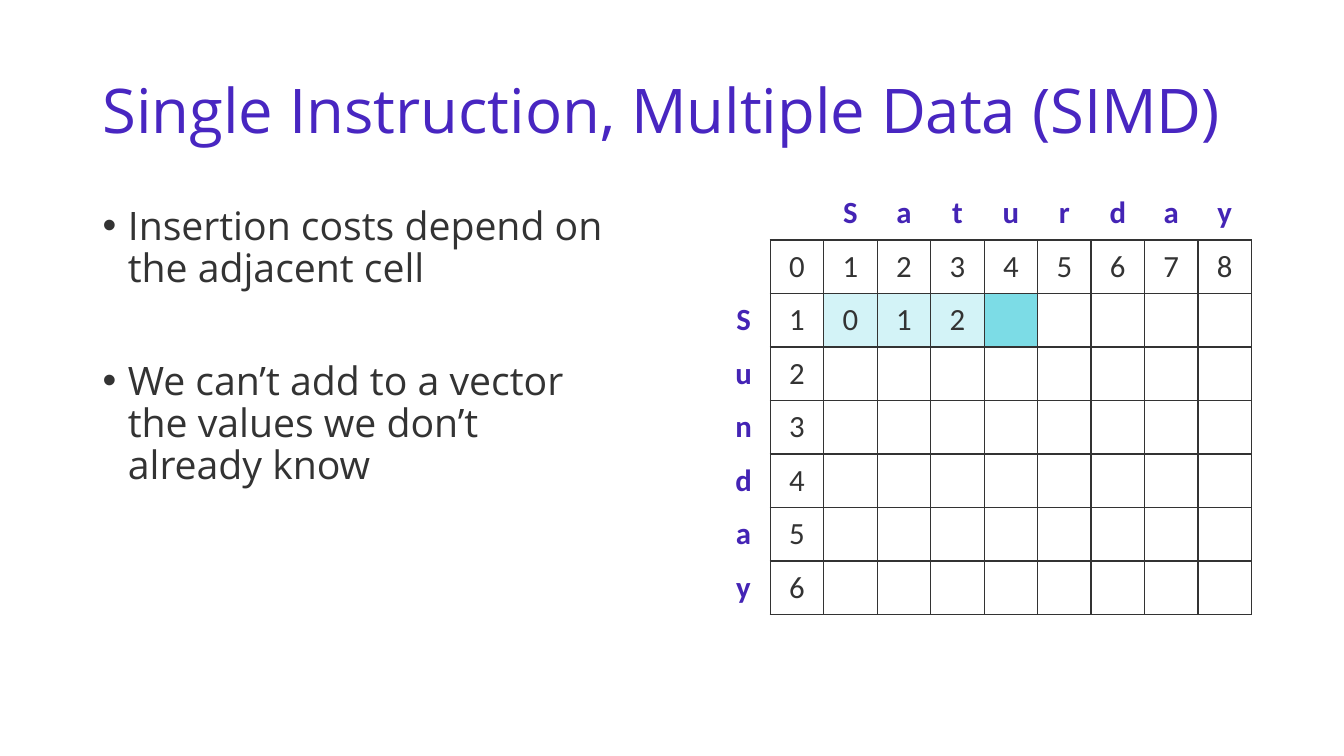
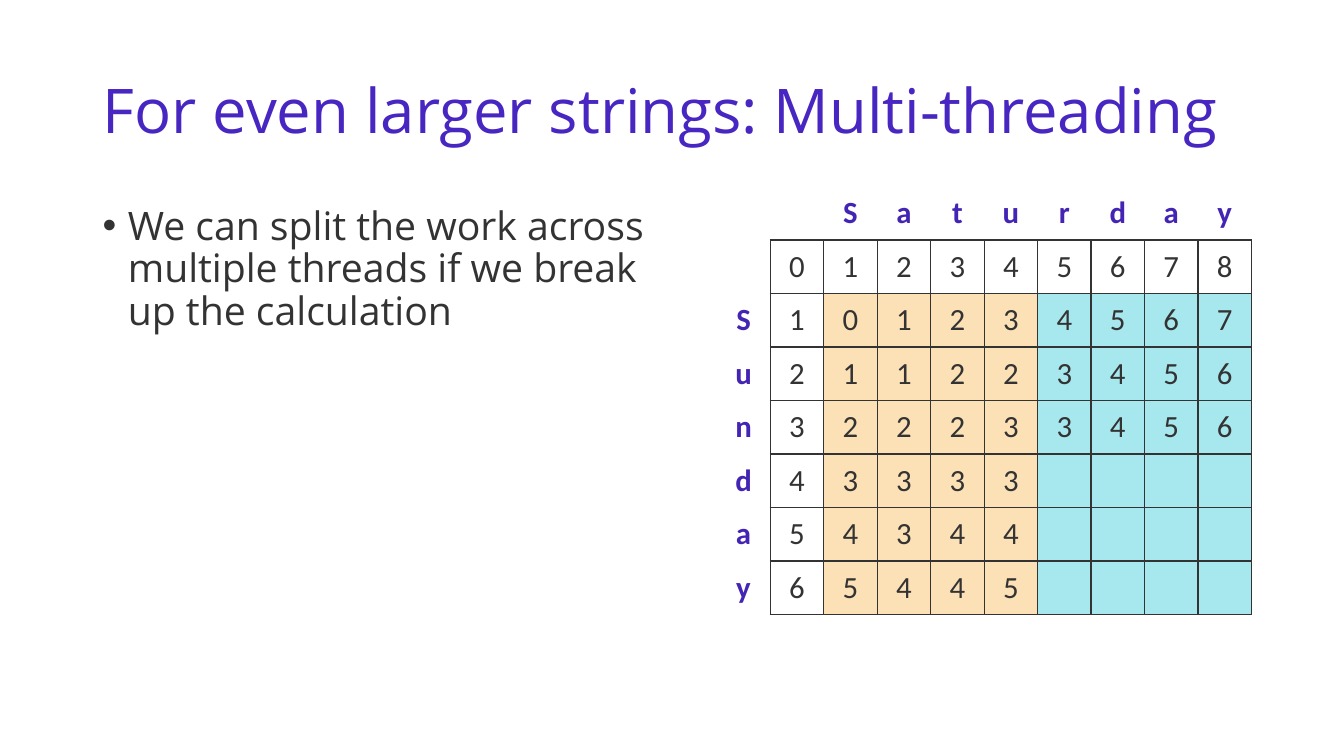
import pptx
import pptx.dml.color
import pptx.enum.text
import pptx.oxml
import pptx.oxml.ns
import pptx.util

RGBColor = pptx.dml.color.RGBColor
TITLE_PURPLE = RGBColor(0x48, 0x26, 0xC1)
LETTER_PURPLE = RGBColor(0x44, 0x24, 0xB5)
INK = RGBColor(0x33, 0x33, 0x33)
WHITE = RGBColor(0xFF, 0xFF, 0xFF)
PALE_CYAN = RGBColor(0xD3, 0xF3, 0xF7)
SOFT_CYAN = RGBColor(0xA7, 0xE8, 0xEE)
BRIGHT_CYAN = RGBColor(0x7C, 0xDC, 0xE6)
SAND = RGBColor(0xFC, 0xE1, 0xB6)

TEXT_FONT = "Open Sans"
GRID_FONT = "Calibri"
ACROSS, DOWN = "Saturday", "Sunday"
FILL_CODES = {".": WHITE, "p": PALE_CYAN, "b": BRIGHT_CYAN, "c": SOFT_CYAN, "s": SAND}

# Each row of costs and fills covers the cells below the letters of ACROSS.
SLIDES = [
    {
        "title": "Single Instruction, Multiple Data (SIMD)",
        "points": [
            "Insertion costs depend on the adjacent cell",
            "We can’t add to a vector the values we don’t already know",
        ],
        "points_width": 39.84,
        "costs": ["012"] + [""] * 5,
        "fills": ["pppb...."] + ["." * 8] * 5,
    },
    {
        "title": "For even larger strings: Multi-threading",
        "points": [
            "We can split the work across multiple threads if we break up the calculation"
        ],
        "points_width": 43.13,
        "costs": ["01234567", "11223456", "22233456", "3333", "4344", "5445"],
        "fills": ["sssscccc"] * 6,
    },
]

deck = pptx.Presentation()
deck.slide_width = pptx.util.Inches(13.33)
deck.slide_height = pptx.util.Inches(7.5)
COLUMN = deck.slide_width / 100
ROW = deck.slide_height / 100
MARGIN = 6.9
CELL_WIDTH, CELL_HEIGHT = int(3.98 * COLUMN), int(7.08 * ROW)


def add_text(slide, left, top, width, height, lines, size, color):
    """Place a wrapping text box, measured in hundredths of the slide."""
    frame = slide.shapes.add_textbox(
        int(left * COLUMN), int(top * ROW), int(width * COLUMN), int(height * ROW)
    ).text_frame
    frame.word_wrap = True
    frame.text = "\n".join(lines)
    for paragraph in frame.paragraphs:
        paragraph.line_spacing = 0.9
        for run in paragraph.runs:
            run.font.name = TEXT_FONT
            run.font.size = pptx.util.Pt(size)
            run.font.color.rgb = color
    return frame


def set_borders(cell, visible):
    """Draw the sides named in visible (L, R, T, B) and hide the others."""
    properties = cell._tc.get_or_add_tcPr()
    for side in "LRTB":
        paint = f'<a:solidFill><a:srgbClr val="{INK}"/></a:solidFill>' if side in visible else "<a:noFill/>"
        properties.append(pptx.oxml.parse_xml(
            f'<a:ln{side} {pptx.oxml.ns.nsdecls("a")} w="12700">{paint}</a:ln{side}>'
        ))


for content in SLIDES:
    slide = deck.slides.add_slide(deck.slide_layouts[6])
    slide.background.fill.solid()
    slide.background.fill.fore_color.rgb = WHITE

    title = add_text(slide, MARGIN, 5.33, 86.25, 19.33, [content["title"]], 44, TITLE_PURPLE)
    title.vertical_anchor = pptx.enum.text.MSO_ANCHOR.MIDDLE

    points = add_text(
        slide, MARGIN, 26.67, content["points_width"], 63.47, content["points"], 28, INK
    )
    for index, point in enumerate(points.paragraphs):
        properties = point._p.get_or_add_pPr()
        properties.set("marL", str(pptx.util.Inches(0.25)))
        properties.set("indent", str(-pptx.util.Inches(0.25)))
        for bullet in ('a:buFont {} typeface="Arial"', 'a:buChar {} char="•"'):
            properties.append(pptx.oxml.parse_xml(
                "<" + bullet.format(pptx.oxml.ns.nsdecls("a")) + "/>"
            ))
        if index:
            point.space_before = pptx.util.Pt(50)

    row_count, column_count = len(DOWN) + 2, len(ACROSS) + 2
    distances = slide.shapes.add_table(
        row_count, column_count, int(53.33 * COLUMN), int(24.67 * ROW),
        CELL_WIDTH * column_count, CELL_HEIGHT * row_count,
    ).table
    distances.first_row = distances.horz_banding = False
    for column in distances.columns:
        column.width = CELL_WIDTH
    for row in distances.rows:
        row.height = CELL_HEIGHT

    entries = [["", ""] + list(ACROSS), [""] + [str(n) for n in range(len(ACROSS) + 1)]]
    for number, (letter, costs) in enumerate(zip(DOWN, content["costs"]), 1):
        entries.append([letter, str(number)] + list(costs.ljust(len(ACROSS))))

    for r, entry_row in enumerate(entries):
        for c, entry in enumerate(entry_row):
            cell = distances.cell(r, c)
            is_label = r == 0 or c == 0
            if not is_label:
                set_borders(cell, "LRTB")
            elif r == 0:
                set_borders(cell, "B" if c else "")
            else:
                set_borders(cell, "R")
            cell.fill.solid()
            cell.fill.fore_color.rgb = (
                FILL_CODES[content["fills"][r - 2][c - 2]] if r > 1 and c > 1 else WHITE
            )
            cell.margin_left = cell.margin_right = pptx.util.Inches(0.12)
            cell.margin_top = cell.margin_bottom = pptx.util.Inches(0.06)
            cell.vertical_anchor = pptx.enum.text.MSO_ANCHOR.MIDDLE
            cell.text_frame.text = entry.strip()
            paragraph = cell.text_frame.paragraphs[0]
            paragraph.alignment = pptx.enum.text.PP_ALIGN.CENTER
            for run in paragraph.runs:
                run.font.name = GRID_FONT
                run.font.size = pptx.util.Pt(22)
                run.font.bold = is_label
                run.font.color.rgb = LETTER_PURPLE if is_label else INK

deck.save("out.pptx")
